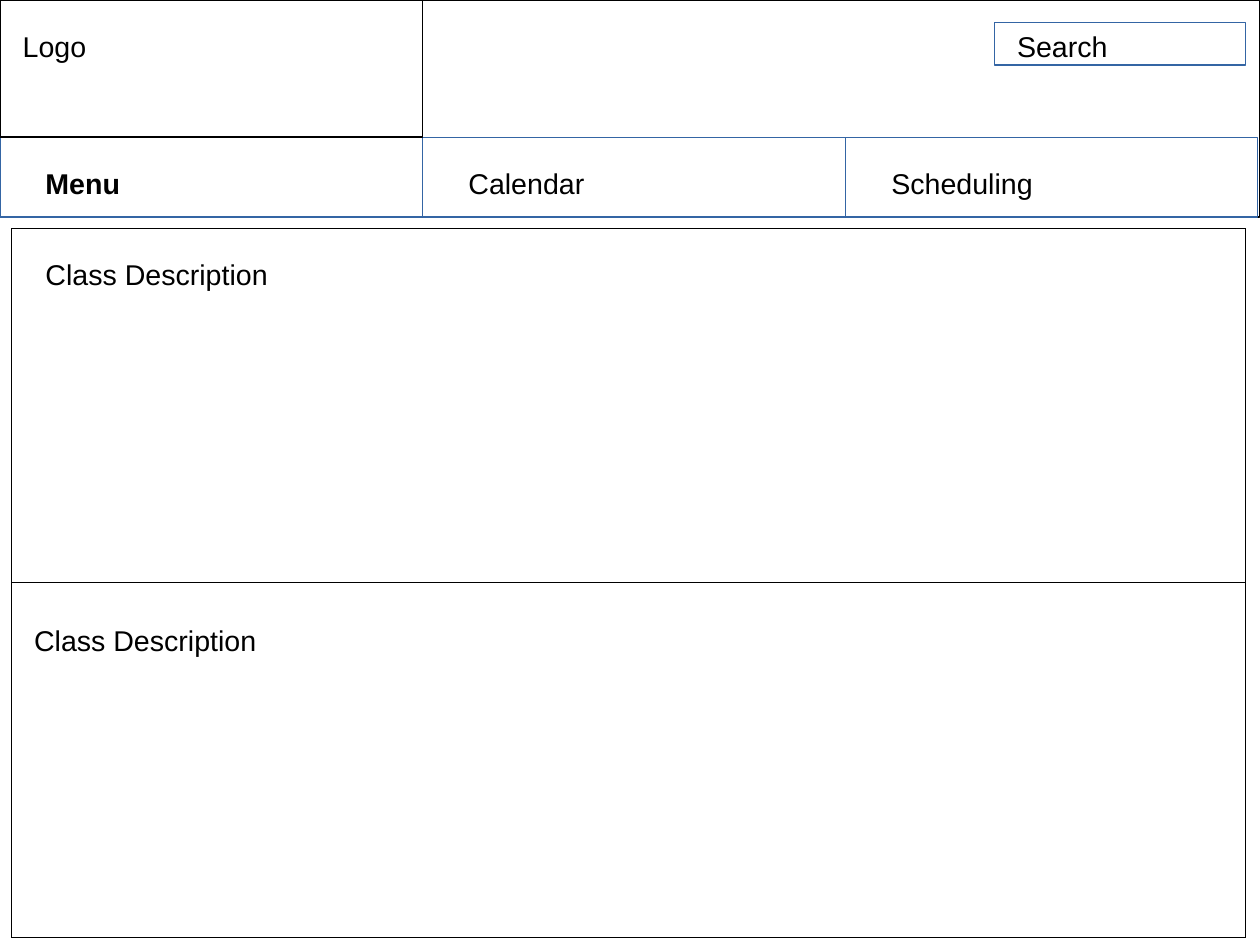
from pptx import Presentation
from pptx import util as u
from pptx.dml.color import RGBColor
from pptx.enum import shapes, text

BLACK = RGBColor(0x00, 0x00, 0x00)
BLUE = RGBColor(0x34, 0x65, 0xA4)

deck = Presentation()
deck.slide_width = u.Cm(28)
deck.slide_height = u.Cm(21)
page = deck.slides.add_slide(deck.slide_layouts[6])

# Grid: square cells of a tenth of an inch
CELL = u.Inches(0.1)
PAGE_COLUMNS = deck.slide_width / CELL
MENU_COLUMNS = 37
HEADER_ROWS, MENU_ROWS = 12, 7
PANEL_TOP, PANEL_COLUMNS, PANEL_ROWS = 20, 108, 31
LABEL_ROWS = 3.8


def add_frame(column, row, columns, rows, color, weight=0.75):
    place = [round(n * CELL) for n in (column, row, columns, rows)]
    frame = page.shapes.add_shape(shapes.MSO_SHAPE.RECTANGLE, *place)
    frame.shadow.inherit = False
    frame.fill.background()
    frame.line.color.rgb = color
    frame.line.width = u.Pt(weight)


def add_label(words, column, row, columns, bold=False):
    place = [round(n * CELL) for n in (column, row, columns, LABEL_ROWS)]
    box = page.shapes.add_textbox(*place)
    frame_format = {
        "word_wrap": True,
        "vertical_anchor": text.MSO_ANCHOR.TOP,
        "margin_left": u.Inches(0.1),
        "margin_right": u.Inches(0.1),
        "margin_top": u.Inches(0.05),
        "margin_bottom": u.Inches(0.05),
    }
    for name, value in frame_format.items():
        setattr(box.text_frame, name, value)
    para = box.text_frame.paragraphs[0]
    para.alignment = text.PP_ALIGN.LEFT
    span = para.add_run()
    span.text = words
    font_format = {"name": "Arial", "size": u.Pt(18), "bold": bold}
    for name, value in font_format.items():
        setattr(span.font, name, value)
    span.font.color.rgb = BLACK


# Header band across the top of the page
add_frame(0, 0, PAGE_COLUMNS, HEADER_ROWS + MENU_ROWS, BLACK)

# Menu bar: equal cells, the last one ending just inside the page
menu = [("Menu", 25, True), ("Calendar", 28, False), ("Scheduling", 20, False)]
for index, (words, columns, bold) in enumerate(menu):
    left = index * MENU_COLUMNS
    add_frame(left, HEADER_ROWS, min(MENU_COLUMNS, 110 - left), MENU_ROWS, BLUE)
    add_label(words, left + 3, HEADER_ROWS + 2, columns, bold)

# Logo area
add_frame(0, 0, MENU_COLUMNS, HEADER_ROWS, BLACK, 0.79)
add_label("Logo", 1, 2, 35)

# Search field
add_frame(87, 2, 22, 3.7, BLUE)
add_label("Search", 88, 2, 20)

# Content: two stacked class panels
for index, (column, inset) in enumerate([(3, 2), (2, 3)]):
    top = PANEL_TOP + index * PANEL_ROWS
    add_frame(1, top, PANEL_COLUMNS, PANEL_ROWS, BLACK)
    add_label("Class Description", column, top + inset, 24)

# Outline around both panels
add_frame(1, PANEL_TOP, PANEL_COLUMNS, 2 * PANEL_ROWS, BLACK)

deck.save("out.pptx")
